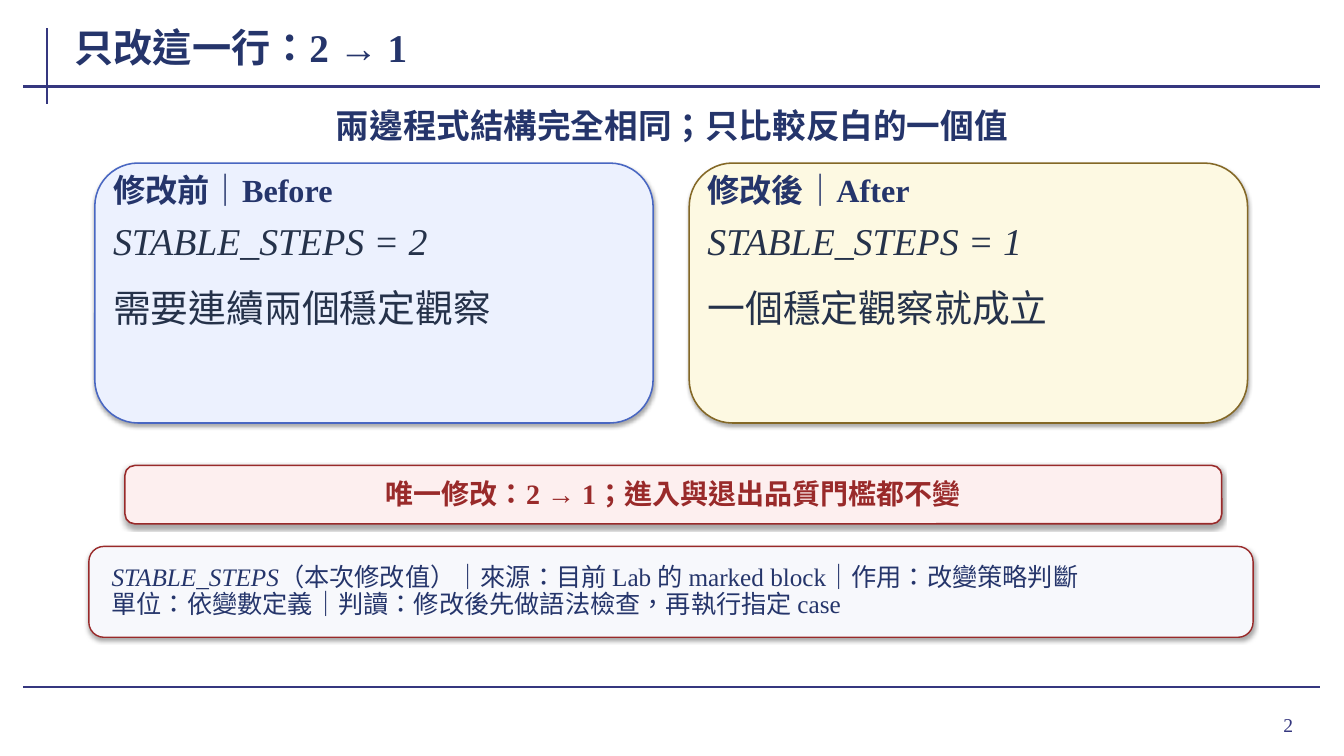
from dataclasses import dataclass

from lxml.etree import SubElement
from pptx import Presentation
from pptx.dml.color import RGBColor
from pptx.enum.lang import MSO_LANGUAGE_ID
from pptx.enum.shapes import MSO_CONNECTOR, MSO_SHAPE
from pptx.enum.text import MSO_ANCHOR, MSO_AUTO_SIZE, PP_ALIGN
from pptx.oxml.ns import qn
from pptx.util import Cm, Pt


@dataclass(frozen=True)
class Theme:
    font: str = "Times New Roman"
    navy: str = "25356B"
    ink: str = "25324A"
    rule: str = "35377F"
    red: str = "992A2A"
    red_tint: str = "FDEFEF"
    note_tint: str = "F7F8FC"
    title: int = 28
    body: int = 27
    heading: int = 24
    label: int = 23
    banner: int = 20
    note: int = 18
    number: int = 14


THEME = Theme()
TITLE = "只改這一行：2 → 1"
HEADING = "兩邊程式結構完全相同；只比較反白的一個值"
CARDS = [
    ("修改前｜Before", "STABLE_STEPS = 2", "需要連續兩個穩定觀察", "ECF1FE", "4967C2"),
    ("修改後｜After", "STABLE_STEPS = 1", "一個穩定觀察就成立", "FDF9E2", "846826"),
]
BANNER = "唯一修改：2 → 1；進入與退出品質門檻都不變"
NOTE = [
    [("STABLE_STEPS", True), ("（本次修改值）｜來源：目前 Lab 的 marked block｜作用：改變策略判斷", False)],
    [("單位：依變數定義｜判讀：修改後先做語法檢查，再執行指定 case", False)],
]
PAGE_NUMBER = "2"
RULES = [(1.19, 0.71, 1.19, 2.62), (0.58, 2.18, 33.27, 2.18), (0.58, 17.32, 33.27, 17.32)]

CARD_LEFT, CARD_TOP, CARD_WIDTH, CARD_HEIGHT = 2.39, 4.11, 14.07, 6.55
CARD_GAP, CARD_PAD = 0.91, 0.41
SLIM = (0.05, 0.03)


def write(shape, paragraphs, size, color, bold=False, align=PP_ALIGN.LEFT,
          anchor=MSO_ANCHOR.TOP, insets=SLIM, spacing=None, gap=0):
    frame = shape.text_frame
    frame.word_wrap = True
    frame.auto_size = MSO_AUTO_SIZE.NONE
    frame.vertical_anchor = anchor
    frame.margin_left = frame.margin_right = Cm(insets[0])
    frame.margin_top = frame.margin_bottom = Cm(insets[1])
    for index, pieces in enumerate(paragraphs):
        paragraph = frame.add_paragraph() if index else frame.paragraphs[0]
        paragraph.alignment = align
        paragraph.line_spacing = spacing
        paragraph.space_before = Pt(gap if index else 0)
        for words, italic in pieces:
            run = paragraph.add_run()
            run.text = words
            font = run.font
            font.name, font.size = THEME.font, Pt(size)
            font.bold, font.italic = bold, italic
            font.color.rgb = RGBColor.from_string(color)
            font.language_id = MSO_LANGUAGE_ID.TRADITIONAL_CHINESE


def add_text(slide, box, paragraphs, size, color, **style):
    area = slide.shapes.add_textbox(*map(Cm, box))
    write(area, paragraphs, size, color, **style)


def add_panel(slide, box, fill, outline, width=1.1):
    panel = slide.shapes.add_shape(MSO_SHAPE.ROUNDED_RECTANGLE, *map(Cm, box))
    panel.fill.solid()
    panel.fill.fore_color.rgb = RGBColor.from_string(fill)
    panel.line.color.rgb = RGBColor.from_string(outline)
    panel.line.width = Pt(width)
    panel.shadow.inherit = False
    effects = panel.element.spPr.find(qn("a:effectLst"))
    shadow = SubElement(effects, qn("a:outerShdw"), blurRad=str(Pt(3.1)),
                        dist=str(Pt(1.8)), dir="5400000", rotWithShape="0")
    black = SubElement(shadow, qn("a:srgbClr"), val="000000")
    SubElement(black, qn("a:alpha"), val="35000")
    return panel


def add_rule(slide, ends):
    rule = slide.shapes.add_connector(MSO_CONNECTOR.STRAIGHT, *map(Cm, ends))
    rule.line.color.rgb = RGBColor.from_string(THEME.rule)
    rule.line.width = Pt(1.5)
    SubElement(rule.element.spPr, qn("a:effectLst"))


def add_card(slide, left, label, setting, meaning, fill, outline):
    add_panel(slide, (left, CARD_TOP, CARD_WIDTH, CARD_HEIGHT), fill, outline)
    inner_left, inner_width = left + CARD_PAD, CARD_WIDTH - 2 * CARD_PAD
    add_text(slide, (inner_left, CARD_TOP + 0.26, inner_width, 1.17), [[(label, False)]],
             THEME.label, THEME.navy, bold=True, spacing=0.9)
    add_text(slide, (inner_left, CARD_TOP + 1.48, inner_width, 4.88),
             [[(setting, True)], [(meaning, False)]],
             THEME.body, THEME.ink, spacing=0.9, gap=18.5)


def main():
    deck = Presentation()
    deck.slide_width, deck.slide_height = Cm(33.87), Cm(19.05)
    slide = deck.slides.add_slide(deck.slide_layouts[5])

    for ends in RULES:
        add_rule(slide, ends)
    add_text(slide, (30.38, 17.6, 2.46, 1.32), [[(PAGE_NUMBER, False)]], THEME.number,
             THEME.rule, align=PP_ALIGN.RIGHT, anchor=MSO_ANCHOR.MIDDLE, insets=(0.25, 0.13))

    title = slide.shapes.title
    title.left, title.top, title.width, title.height = map(Cm, (1.83, 0.51, 26.29, 1.35))
    write(title, [[(TITLE, False)]], THEME.title, THEME.navy, bold=True,
          anchor=MSO_ANCHOR.MIDDLE, insets=(0.05, 0))
    add_text(slide, (2.39, 2.49, 29.08, 1.32), [[(HEADING, False)]], THEME.heading,
             THEME.navy, bold=True, align=PP_ALIGN.CENTER, anchor=MSO_ANCHOR.MIDDLE)

    for index, card in enumerate(CARDS):
        add_card(slide, CARD_LEFT + index * (CARD_WIDTH + CARD_GAP), *card)

    banner = add_panel(slide, (3.15, 11.73, 27.64, 1.47), THEME.red_tint, THEME.red)
    write(banner, [[(BANNER, False)]], THEME.banner, THEME.red, bold=True,
          align=PP_ALIGN.CENTER, anchor=MSO_ANCHOR.MIDDLE, insets=(0.3, 0.1), spacing=0.95)
    note = add_panel(slide, (2.24, 13.77, 29.34, 2.29), THEME.note_tint, THEME.red, 1)
    write(note, NOTE, THEME.note, THEME.navy, anchor=MSO_ANCHOR.MIDDLE,
          insets=(0.46, 0.08), spacing=0.9)

    deck.save("out.pptx")


if __name__ == "__main__":
    main()
